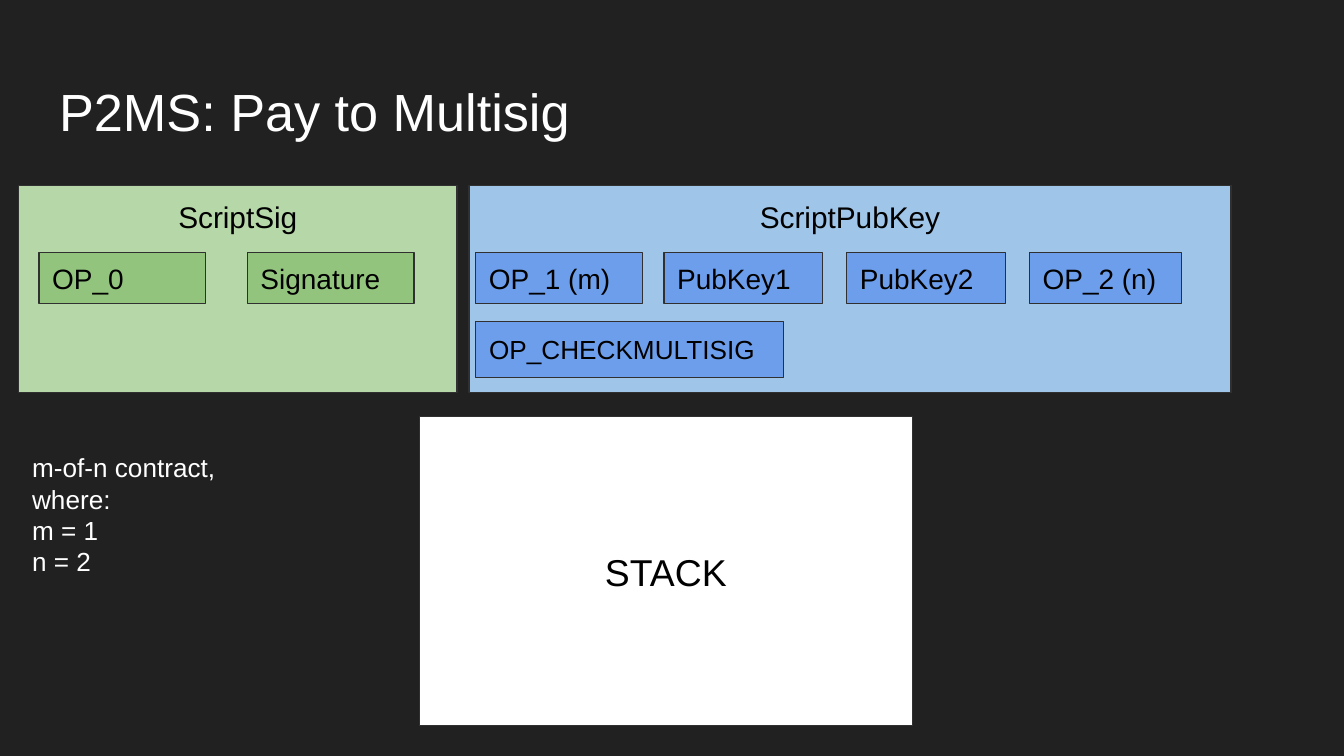
from pptx import Presentation
from pptx.dml.color import RGBColor
from pptx.enum.shapes import MSO_SHAPE
from pptx.enum.text import MSO_ANCHOR, MSO_AUTO_SIZE, PP_ALIGN
from pptx.util import Inches, Pt


def write(sp, text, size=15, color="000000", align=PP_ALIGN.LEFT, anchor=MSO_ANCHOR.MIDDLE):
    """Fill a shape with text, one paragraph per line."""
    tf = sp.text_frame
    tf.word_wrap = True
    tf.auto_size = MSO_AUTO_SIZE.NONE
    tf.vertical_anchor = anchor
    tf.margin_left = tf.margin_right = Inches(0.1)
    tf.margin_top = tf.margin_bottom = Inches(0.1)
    tf.text = text
    for p in tf.paragraphs:
        p.alignment = align
        p.font.name = "Arial"
        p.font.size = Pt(size)
        p.font.color.rgb = RGBColor.from_string(color)


def add_box(text, x, y, w, h, fill, **text_format):
    sp = s.shapes.add_shape(MSO_SHAPE.RECTANGLE, Inches(x), Inches(y), Inches(w), Inches(h))
    sp.shadow.inherit = False
    sp.fill.solid()
    sp.fill.fore_color.rgb = RGBColor.from_string(fill)
    sp.line.color.rgb = RGBColor.from_string("303030")
    sp.line.width = Pt(0.75)
    write(sp, text, **text_format)


prs = Presentation()
prs.slide_width = Inches(10)
prs.slide_height = prs.slide_width * 9 // 16
s = prs.slides.add_slide(prs.slide_layouts[5])
s.background.fill.solid()
s.background.fill.fore_color.rgb = RGBColor.from_string("212121")

title = s.shapes.title
title.left, title.top = Inches(0.34), Inches(0.49)
title.width, title.height = Inches(9.32), Inches(0.63)
write(title, "P2MS: Pay to Multisig", size=28, color="FFFFFF", anchor=MSO_ANCHOR.TOP)

# The two script panels and the stack
left = 0.14
panel_top, panel_h = 1.38, 1.54
for text, x, w, fill in [("ScriptSig", left, 3.26, "B6D7A8"),
                         ("ScriptPubKey", 3.49, 5.67, "9FC5E8")]:
    add_box(text, x, panel_top, w, panel_h, fill, size=16,
            align=PP_ALIGN.CENTER, anchor=MSO_ANCHOR.TOP)
add_box("STACK", 3.12, 3.1, 3.67, 2.3, "FFFFFF", size=20, align=PP_ALIGN.CENTER)

# Script items, all on one row below the panel headings
green, blue = "93C47D", "6D9EEB"
row_top = panel_top + 0.5
for text, x, w, fill in [("OP_0", 0.29, 1.24, green),
                         ("Signature", 1.84, 1.24, green),
                         ("OP_1 (m)", 3.54, 1.24, blue),
                         ("PubKey1", 4.94, 1.18, blue),
                         ("PubKey2", 6.3, 1.18, blue),
                         ("OP_2 (n)", 7.66, 1.13, blue)]:
    add_box(text, x, row_top, w, 0.38, fill)
add_box("OP_CHECKMULTISIG", 3.54, row_top + 0.51, 2.29, 0.42, blue, size=14)

note = s.shapes.add_textbox(Inches(left), Inches(3.26), Inches(1.98), Inches(1.14))
write(note, "m-of-n contract, where:\nm = 1\nn = 2", size=14, color="FFFFFF",
      anchor=MSO_ANCHOR.TOP)

prs.save("out.pptx")
